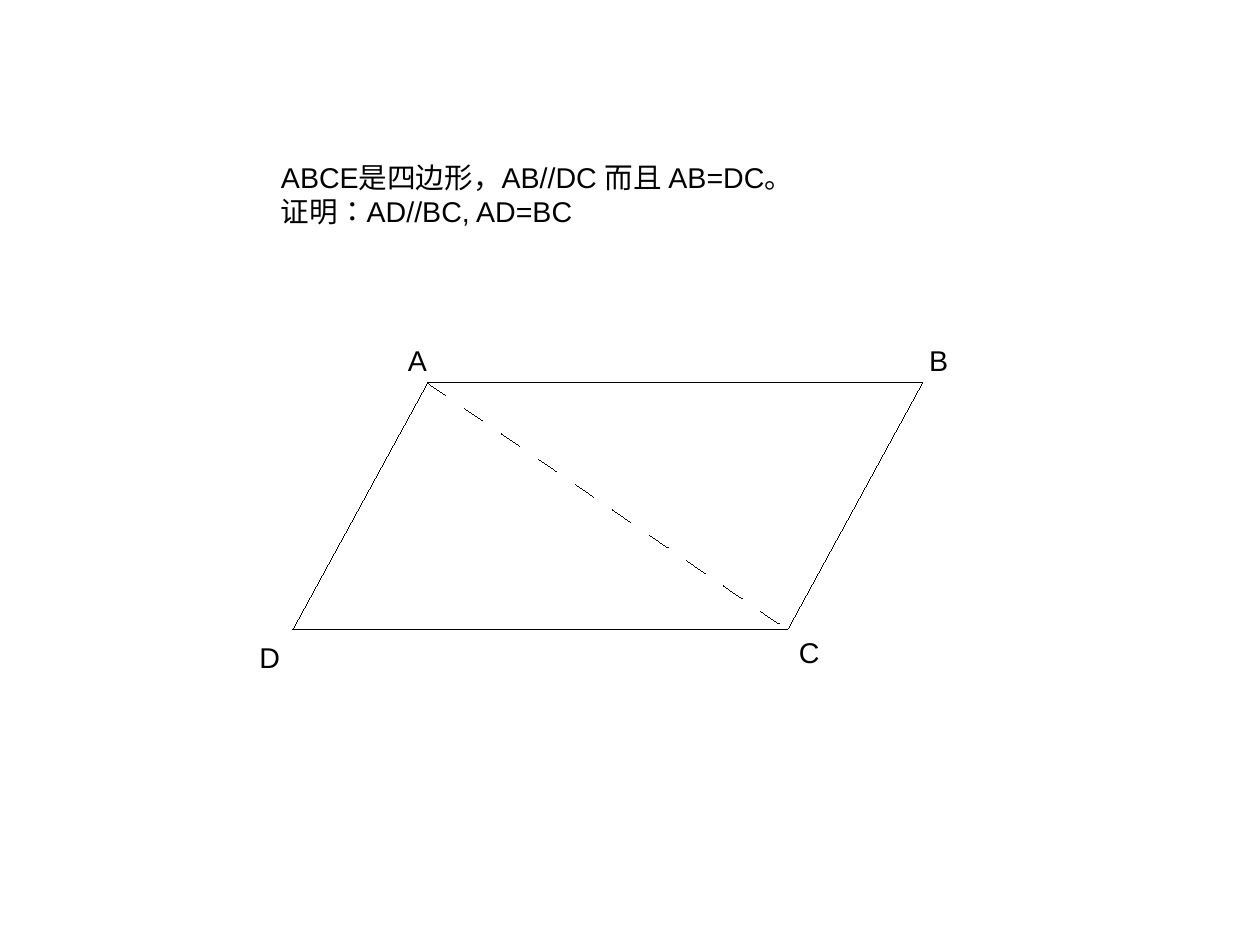
import pptx
import pptx.util
import pptx.dml.color
import pptx.enum.lang
import pptx.enum.shapes
import pptx.enum.text
import pptx.oxml
import pptx.oxml.ns
from pptx.util import Inches


def color(code):
    return pptx.dml.color.RGBColor.from_string(code)


def add_text(left, top, width, height, text):
    box = slide.shapes.add_textbox(Inches(left), Inches(top), Inches(width), Inches(height))
    frame = box.text_frame
    frame.word_wrap = False
    frame.auto_size = pptx.enum.text.MSO_AUTO_SIZE.SHAPE_TO_FIT_TEXT
    frame.text = text
    for para in frame.paragraphs:
        for run in para.runs:
            run.font.name = "Arial"
            run.font.size = pptx.util.Pt(18)
            run.font.color.rgb = color("000000")
            run.font.language_id = pptx.enum.lang.MSO_LANGUAGE_ID.JAPANESE


deck = pptx.Presentation()
deck.slide_width = Inches(28 / 2.54)
deck.slide_height = Inches(21 / 2.54)
deck.element.sldSz.attrib.pop("type", None)
slide = deck.slides.add_slide(deck.slide_layouts[6])

points = {"A": (3.74, 3.35), "B": (8.07, 3.35), "C": (6.89, 5.51), "D": (2.56, 5.51)}

for start, end in ("AD", "BC", "DC", "AB", "AC"):
    ends = [Inches(value) for value in points[start] + points[end]]
    line = slide.shapes.add_connector(pptx.enum.shapes.MSO_CONNECTOR.STRAIGHT, *ends)
    line.line.color.rgb = color("000000")
    props = line._element.spPr
    stroke = props.find(pptx.oxml.ns.qn("a:ln"))
    stroke.set("w", "0")
    if start + end == "AC":
        dash = pptx.oxml.parse_xml(
            f'<a:custDash {pptx.oxml.ns.nsdecls("a")}>'
            '<a:ds d="1850000" sp="1850000"/></a:custDash>'
        )
        stroke.append(dash)
    props.append(props.makeelement(pptx.oxml.ns.qn("a:effectLst"), {}))

add_text(2.36, 1.35, 4.99, 0.82, "ABCE是四边形，AB//DC 而且 AB=DC。\n证明：AD//BC, AD=BC")

labels = [
    ("A", 3.47, 2.95, 0.36),
    ("B", 8.03, 2.95, 0.36),
    ("C", 6.89, 5.51, 0.38),
    ("D", 2.17, 5.55, 0.38),
]
for name, left, top, width in labels:
    add_text(left, top, width, 0.38, name)

deck.save("out.pptx")
